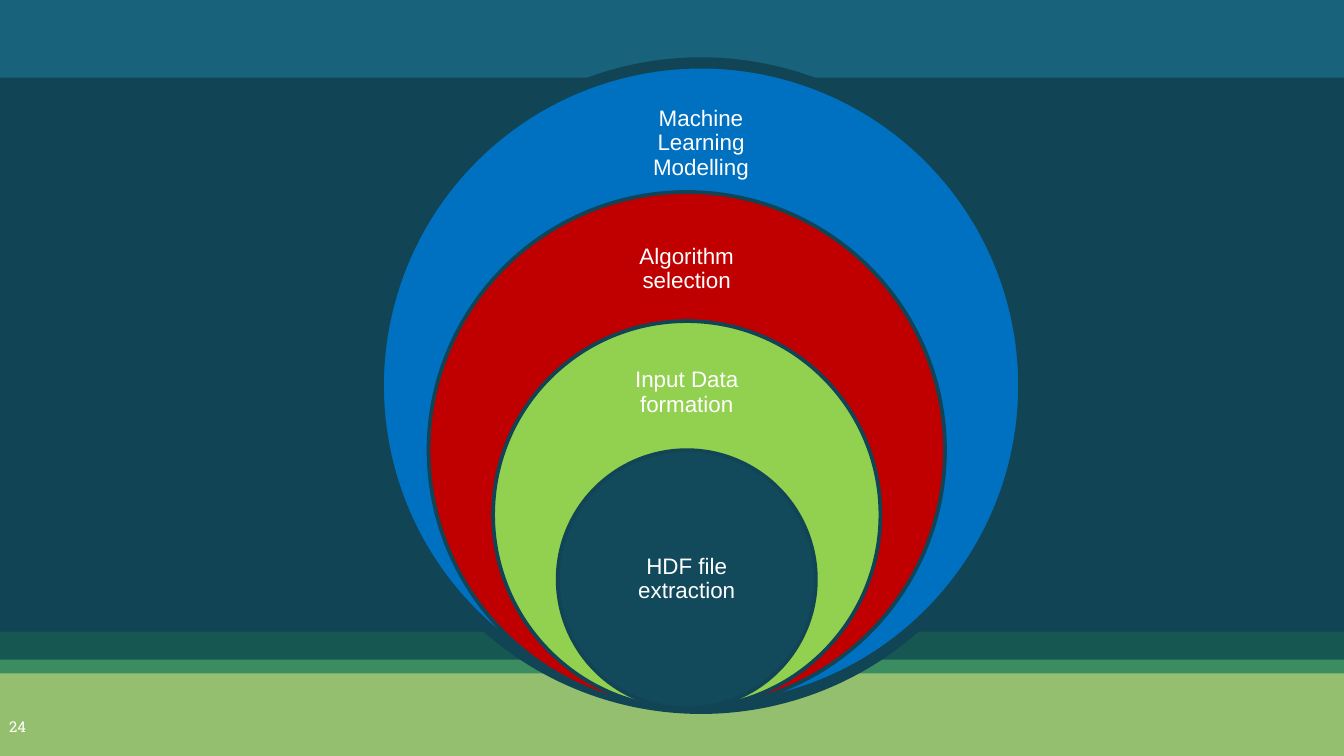
from pptx import Presentation
from pptx.dml.color import RGBColor
from pptx.enum.shapes import MSO_SHAPE as Shape
from pptx.enum.text import MSO_ANCHOR as Anchor, PP_ALIGN as Align
from pptx.util import Cm, Pt

NAVY = RGBColor(0x11, 0x44, 0x54)
TEAL = RGBColor(0x18, 0x63, 0x7B)
PINE = RGBColor(0x16, 0x57, 0x51)
GREEN = RGBColor(0x3B, 0x8D, 0x61)
SAGE = RGBColor(0x94, 0xBF, 0x6E)
BLUE = RGBColor(0x00, 0x70, 0xC0)
RED = RGBColor(0xC0, 0x00, 0x00)
LIME = RGBColor(0x92, 0xD0, 0x50)
SLATE = RGBColor(0x12, 0x4A, 0x5C)
WHITE = RGBColor(0xFF, 0xFF, 0xFF)

WIDTH, HEIGHT = 25.4, 14.29

# top, height, colour
BANDS = [
    (11.94, 0.66, PINE),
    (0, 1.47, TEAL),
    (12.47, 0.33, GREEN),
    (12.73, 1.56, SAGE),
]

# label, fill, line width, centre offset, label top, label height
RINGS = [
    ("Machine Learning Modelling", BLUE, 6, 0.27, 0.61, 1.83),
    ("Algorithm selection", RED, 2, 0, 3.03, 1.75),
    ("Input Data formation", LIME, 2, 0, 5.41, 1.65),
    ("HDF file extraction", SLATE, 2, 0, 8.54, 2.44),
]


def add_shape(slide, kind, box, fill, line=None):
    shape = slide.shapes.add_shape(kind, *map(Cm, box))
    shape.shadow.inherit = False
    shape.fill.solid()
    shape.fill.fore_color.rgb = fill
    if line:
        shape.line.color.rgb = NAVY
        shape.line.width = Pt(line)
    else:
        shape.line.fill.background()


def add_text(slide, box, text, inset, anchor, font, para):
    frame = slide.shapes.add_textbox(*map(Cm, box)).text_frame
    sides = ("left", "top", "right", "bottom")
    look = {"word_wrap": True, "vertical_anchor": anchor}
    look |= {f"margin_{side}": Cm(inset) for side in sides}
    first = frame.paragraphs[0]
    first.text = text
    first.font.color.rgb = WHITE
    para = {"alignment": Align.CENTER} | para
    for item, values in ((frame, look), (first, para), (first.font, font)):
        for name, value in values.items():
            setattr(item, name, value)


def add_bands(slide, box):
    left, top, width, _ = box
    for drop, height, fill in BANDS:
        add_shape(slide, Shape.RECTANGLE,
                  (left, top + drop, width, height), fill)


def add_number(slide, box):
    add_text(slide, box, "24", 0.25, Anchor.TOP,
             {"name": "Roboto Slab", "size": Pt(8)}, {})


def add_rings(slide, box):
    """Nest circles that share a base; each is one step smaller."""
    left, top, width, height = box
    step = height / (len(RINGS) + 1)
    wide = 3.4
    for i, (label, fill, line, shift, drop, tall) in enumerate(RINGS):
        size = height - i * step
        mid = left + width / 2 + shift
        add_shape(slide, Shape.OVAL,
                  (mid - size / 2, top + height - size, size, size),
                  fill, line)
        add_text(slide, (mid - wide / 2, top + drop, wide, tall), label,
                 0.23, Anchor.MIDDLE, {"name": "Arial", "size": Pt(12)},
                 {"line_spacing": 0.9})


def main():
    deck = Presentation()
    deck.slide_width, deck.slide_height = Cm(WIDTH), Cm(HEIGHT)
    slide = deck.slides.add_slide(deck.slide_layouts[6])
    slide.background.fill.solid()
    slide.background.fill.fore_color.rgb = NAVY
    add_bands(slide, (0, 0, WIDTH, HEIGHT))
    add_number(slide, (-0.15, 13.39, 0.97, 0.89))
    add_rings(slide, (6.88, 1.19, 12.2, 12.2))
    deck.save("out.pptx")


if __name__ == "__main__":
    main()
